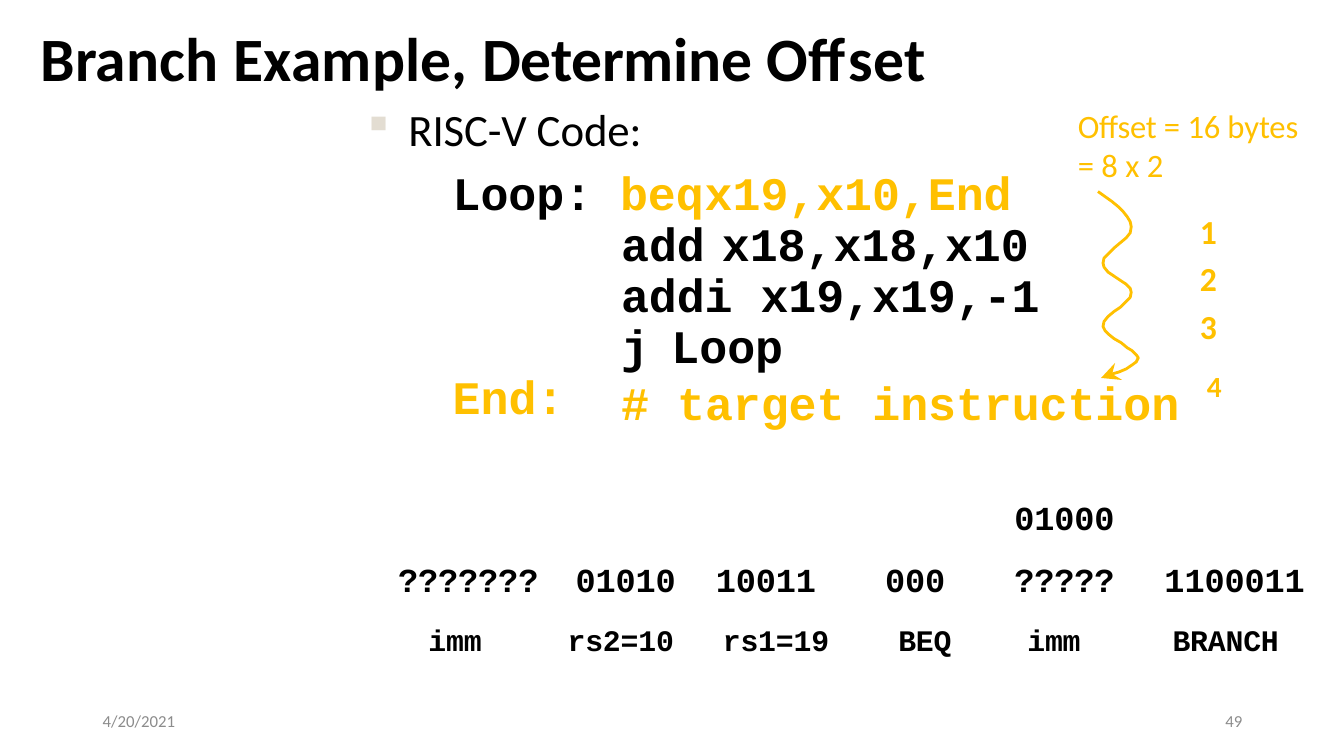
from dataclasses import dataclass
from lxml import etree
from pptx import Presentation
from pptx.dml.color import RGBColor
from pptx.enum.text import MSO_ANCHOR, MSO_AUTO_SIZE, PP_ALIGN
from pptx.oxml.ns import qn
from pptx.util import Inches, Pt

MIDDLE, TOP = MSO_ANCHOR.MIDDLE, MSO_ANCHOR.TOP
LEFT, RIGHT = PP_ALIGN.LEFT, PP_ALIGN.RIGHT
GROW, FIXED = MSO_AUTO_SIZE.SHAPE_TO_FIT_TEXT, MSO_AUTO_SIZE.NONE
WIDTH, HEIGHT = 13.33, 7.5
COLORS = {"text": "000000", "accent": "FFC000", "bullet": "E3DDD2", "footer": "8C8C8C"}
BODY, MONO = "Calibri", "Courier New"


@dataclass
class Span:
    text: str
    size: float
    face: str = MONO
    color: str = "text"
    bold: bool = True
    spacing: float = -0.1
    baseline: int = 0


@dataclass
class Line:
    spans: list
    indent: float = 0.02
    hanging: float = 0
    before: float = 0
    tabs: tuple = ()
    bullet: str = ""
    align: int = LEFT


def rgb(name):
    return RGBColor.from_string(COLORS[name])


def add_bullet(properties, char):
    tint = etree.SubElement(properties, qn("a:buClr"))
    etree.SubElement(tint, qn("a:srgbClr"), val=COLORS["bullet"])
    etree.SubElement(properties, qn("a:buSzPct"), val="94000")
    etree.SubElement(properties, qn("a:buChar"), char=char)


def add_tabs(properties, stops):
    tab_list = etree.SubElement(properties, qn("a:tabLst"))
    for stop in stops:
        etree.SubElement(tab_list, qn("a:tab"), pos=str(Inches(stop)), algn="l")


def add_span(paragraph, span):
    run = paragraph.add_run()
    run.text = span.text
    font = run.font
    font.size, font.name, font.bold = Pt(span.size), span.face, span.bold
    font.color.rgb = rgb(span.color)
    properties = run._r.get_or_add_rPr()
    properties.set("spc", str(round(span.spacing * 100)))
    if span.baseline:
        properties.set("baseline", str(span.baseline * 1000))


def add_text(slide, box, lines, inset=(0, 0.02, 0, 0), anchor=TOP, fit=GROW):
    frame = slide.shapes.add_textbox(*map(Inches, box)).text_frame
    frame.word_wrap, frame.auto_size, frame.vertical_anchor = True, fit, anchor
    (frame.margin_left, frame.margin_top,
     frame.margin_right, frame.margin_bottom) = map(Inches, inset)
    for index, line in enumerate(lines):
        paragraph = frame.add_paragraph() if index else frame.paragraphs[0]
        paragraph.alignment = line.align
        if line.before:
            paragraph.space_before = Pt(line.before)
        properties = paragraph._p.get_or_add_pPr()
        properties.set("marL", str(Inches(line.indent)))
        properties.set("indent", str(Inches(line.hanging)))
        if line.bullet:
            add_bullet(properties, line.bullet)
        if line.tabs:
            add_tabs(properties, line.tabs)
        for span in line.spans:
            add_span(paragraph, span)


def add_title(slide, box):
    words = (("Branch ", 0.2), ("Example, ", 0.1), ("Determine ", -0.2), ("Offset", 0.5))
    add_text(slide, box, [Line([Span(word, 44, BODY, spacing=gap) for word, gap in words])],
             anchor=MIDDLE)


def add_code(slide, box):
    left, top, width, height = box
    heading = Line([Span("RISC-V Code:", 32, BODY, bold=False)], 0.46, -0.45,
                   tabs=(0.46, 0.47), bullet="▪")
    add_text(slide, (left, top, 2.81, 0.56), [heading])

    size = 33.3
    label, operation = left + 0.88, left + 2.55
    row = 0.505
    statements = (
        (label, 0, 6.17, 0.02, (3.1,),
         [Span("Loop: ", size), Span("beq\tx19,x10,End", size, color="accent")]),
        (operation, 1, 4.48, 0.02, (1.41,), [Span("add\tx18,x18,x10", size)]),
        (operation, 2, 4.2, 0.02, (), [Span("addi x19,x19,-1", size)]),
        (operation, 3, 2.54, 0.02, (1.41,), [Span("j\t", size, spacing=0), Span("Loop", size)]),
        (label, 4, 1.15, 0.02, (), [Span("End:", size, color="accent")]),
        (operation - 0.04, 4, 6.02, 0.06, (),
         [Span("# ", size, color="accent", spacing=0),
          Span("target instruction ", size, color="accent"),
          Span("4", 36, BODY, "accent", spacing=0, baseline=46)]),
    )
    for start, index, span_width, indent, tabs, spans in statements:
        add_text(slide, (start, top + 0.62 + index * row, span_width, 0.58),
                 [Line(spans, indent, tabs=tabs)])


def add_offset_note(slide, box):
    words = (("Offset ", -0.2), ("= ", 0), ("16 bytes", -0.1))
    first = [Span(word, 23.3, BODY, "accent", False, gap) for word, gap in words]
    second = [Span("= 8 x 2", 23.3, BODY, "accent", False, 0)]
    add_text(slide, box, [Line(first), Line(second)])


def add_step_numbers(slide, box):
    steps = [Line([Span(number, 24, BODY, "accent", spacing=0)], before=5.1 if index else 0)
             for index, number in enumerate("123")]
    add_text(slide, box, steps, inset=(0, 0.09, 0, 0))


def draw_path(group, origin, points, closed):
    left, top = origin
    places = [(left * 100 + x, top * 100 + y) for x, y in points]
    builder = group.shapes.build_freeform(*places[0], scale=Inches(0.01))
    builder.add_line_segments(places[1:], close=closed)
    shape = builder.convert_to_shape()
    shape.shadow.inherit = False
    return shape


def add_jump_arrow(slide, box):
    wave = (
        (0, 0), (7, 5), (14, 10), (20, 15), (25, 20), (29, 25), (32, 30), (33, 35),
        (32, 41), (28, 46), (22, 51), (16, 56), (11, 61), (6, 66), (5, 71), (6, 75),
        (10, 80), (16, 84), (22, 88), (28, 92), (32, 96), (33, 100), (32, 105),
        (27, 110), (22, 115), (16, 119), (10, 124), (6, 129), (5, 134), (7, 138),
        (11, 142), (16, 146), (23, 150), (29, 155), (34, 158), (38, 162), (40, 165),
        (38, 169), (34, 172), (28, 176), (21, 179), (14, 181),
    )
    tip = ((17, 170), (3, 185), (24, 187), (14, 181))
    group = slide.shapes.add_group_shape()
    curve = draw_path(group, box[:2], wave, False)
    curve.fill.background()
    curve.line.color.rgb = rgb("accent")
    curve.line.width = Pt(2)
    head = draw_path(group, box[:2], tip, True)
    head.fill.solid()
    head.fill.fore_color.rgb = rgb("accent")
    head.line.fill.background()


def add_encoding(slide, box):
    left, top, width, height = box
    fields = (
        (0, 1.43, "???????", 0.02, "imm", 0.32),
        (1.68, 1.11, "01010", 0.1, "rs2=10", 0.02),
        (3.15, 1.17, "10011", 0.02, "rs1=19", 0.09),
        (4.83, 0.7, "000", 0.02, "BEQ", 0.15),
        (6.11, 1.04, "?????", 0.02, "imm", 0.15),
        (7.6, 1.43, "1100011", 0.02, "BRANCH", 0.1),
    )
    for start, field_width, bits, bits_indent, name, name_indent in fields:
        lines = [Line([Span(bits, 24)], bits_indent),
                 Line([Span(name, 21.3)], name_indent, before=16.3)]
        place, inset = (left + start, top + 0.82, field_width, 1.01), 0.02
        if bits == "?????":
            lines[0].before = 15.2
            lines.insert(0, Line([Span("01000", 24)]))
            place, inset = (left + start, top, field_width, height), 0.23
        add_text(slide, place, lines, inset=(0, inset, 0, 0))


def add_footer(slide, box):
    left, top, width, height = box
    for start, text, align in ((left, "4/20/2021", LEFT), (left + width - 3, "49", RIGHT)):
        line = Line([Span(text, 12, BODY, "footer", False, 0)], 0, align=align)
        add_text(slide, (start, top, 3, height), [line], (0.1, 0.05, 0.1, 0.05), MIDDLE, FIXED)


def main():
    deck = Presentation()
    deck.slide_width, deck.slide_height = Inches(WIDTH), Inches(HEIGHT)
    slide = deck.slides.add_slide(deck.slide_layouts[6])
    add_title(slide, (0.38, 0.17, 10.54, 0.76))
    add_code(slide, (3.59, 0.99, 8.53, 3.22))
    add_jump_arrow(slide, (10.89, 1.9, 0.4, 1.87))
    add_step_numbers(slide, (11.88, 2, 0.21, 1.44))
    add_offset_note(slide, (10.67, 1.03, 2.26, 0.8))
    add_encoding(slide, (3.93, 4.7, 9.03, 1.83))
    add_footer(slide, (0.92, 6.95, 11.5, 0.4))
    deck.save("out.pptx")


if __name__ == "__main__":
    main()
